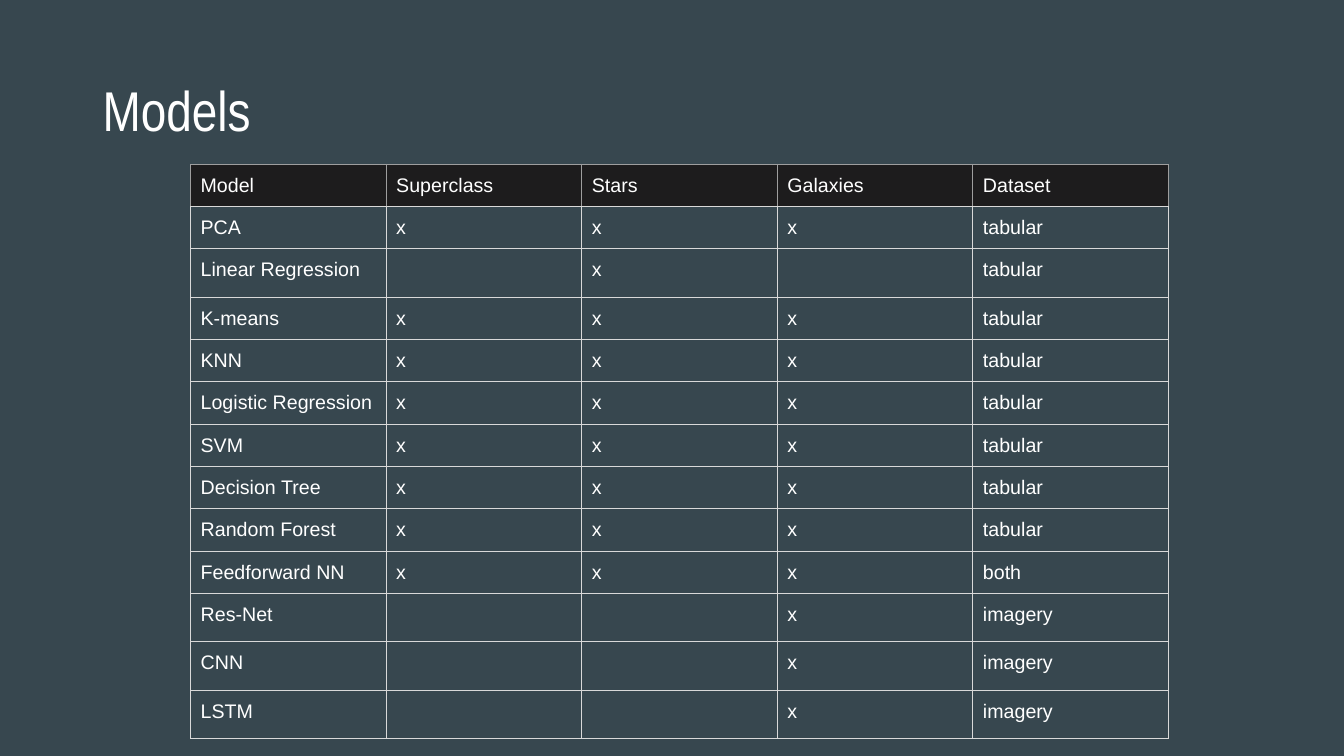
from lxml.etree import SubElement
from pptx import Presentation
from pptx.dml.color import RGBColor
from pptx.enum.text import MSO_ANCHOR
from pptx.oxml.ns import qn
from pptx.util import Inches, Pt

BACKGROUND = "37474F"
TEXT = "FFFFFF"
HEADER_FILL = "1D1C1D"
HEADER_LINE = "9E9E9E"
GRID_LINE = "D9D9D9"

HEADINGS = ("Model", "Superclass", "Stars", "Galaxies", "Dataset")
MODELS = [
    ("PCA", "x", "x", "x", "tabular"),
    ("Linear Regression", "", "x", "", "tabular"),
    ("K-means", "x", "x", "x", "tabular"),
    ("KNN", "x", "x", "x", "tabular"),
    ("Logistic Regression", "x", "x", "x", "tabular"),
    ("SVM", "x", "x", "x", "tabular"),
    ("Decision Tree", "x", "x", "x", "tabular"),
    ("Random Forest", "x", "x", "x", "tabular"),
    ("Feedforward NN", "x", "x", "x", "both"),
    ("Res-Net", "", "", "x", "imagery"),
    ("CNN", "", "", "x", "imagery"),
    ("LSTM", "", "", "x", "imagery"),
]


def color(value):
    return RGBColor.from_string(value)


def write(frame, text, size=14, font="Arial", fill=TEXT, line_spacing=None):
    paragraph = frame.paragraphs[0]
    paragraph.line_spacing = line_spacing
    run = paragraph.add_run()
    run.text = text
    run.font.size = Pt(size)
    run.font.name = font
    run.font.color.rgb = color(fill)


def add_title(slide, text, left, top, width, height):
    frame = slide.shapes.add_textbox(
        Inches(left), Inches(top), Inches(width), Inches(height)).text_frame
    frame.word_wrap = True
    frame.vertical_anchor = MSO_ANCHOR.MIDDLE
    write(frame, text, size=40, font="Arial Narrow", line_spacing=0.9)


def set_borders(cell, side_color, bottom_color):
    properties = cell._tc.get_or_add_tcPr()
    for side in ("lnL", "lnR", "lnT", "lnB"):
        line = SubElement(properties, qn(f"a:{side}"), w=str(Pt(0.75)))
        fill = SubElement(line, qn("a:solidFill"))
        SubElement(fill, qn("a:srgbClr"),
                   val=bottom_color if side == "lnB" else side_color)


def fill_cell(cell, text, is_header):
    cell.margin_left = cell.margin_right = cell.margin_top = Inches(0.1)
    cell.margin_bottom = Inches(0.08)
    set_borders(cell, HEADER_LINE if is_header else GRID_LINE, GRID_LINE)
    if is_header:
        cell.fill.solid()
        cell.fill.fore_color.rgb = color(HEADER_FILL)
    else:
        cell.fill.background()
    if text:
        write(cell.text_frame, text)


def add_model_table(slide, left, top, column_width, row_height, tall_height):
    """Rows with an empty cell take the tall height."""
    rows = [HEADINGS, *MODELS]
    heights = [row_height if all(texts) else tall_height for texts in rows]
    table = slide.shapes.add_table(
        len(rows), len(HEADINGS), Inches(left), Inches(top),
        Inches(column_width * len(HEADINGS)), Inches(sum(heights))).table
    table.first_row = table.horz_banding = False
    for column in table.columns:
        column.width = Inches(column_width)
    for row_index, texts in enumerate(rows):
        table.rows[row_index].height = Inches(heights[row_index])
        for column_index, text in enumerate(texts):
            fill_cell(table.cell(row_index, column_index), text,
                      is_header=row_index == 0)


def main():
    presentation = Presentation()
    presentation.slide_width = Inches(13.33)
    presentation.slide_height = Inches(7.5)
    slide = presentation.slides.add_slide(presentation.slide_layouts[6])
    slide.background.fill.solid()
    slide.background.fill.fore_color.rgb = color(BACKGROUND)
    add_title(slide, "Models", 0.92, 0.4, 11.5, 1.45)
    add_model_table(slide, 1.89, 1.63, column_width=1.94,
                    row_height=0.42, tall_height=0.48)
    presentation.save("out.pptx")


if __name__ == "__main__":
    main()
